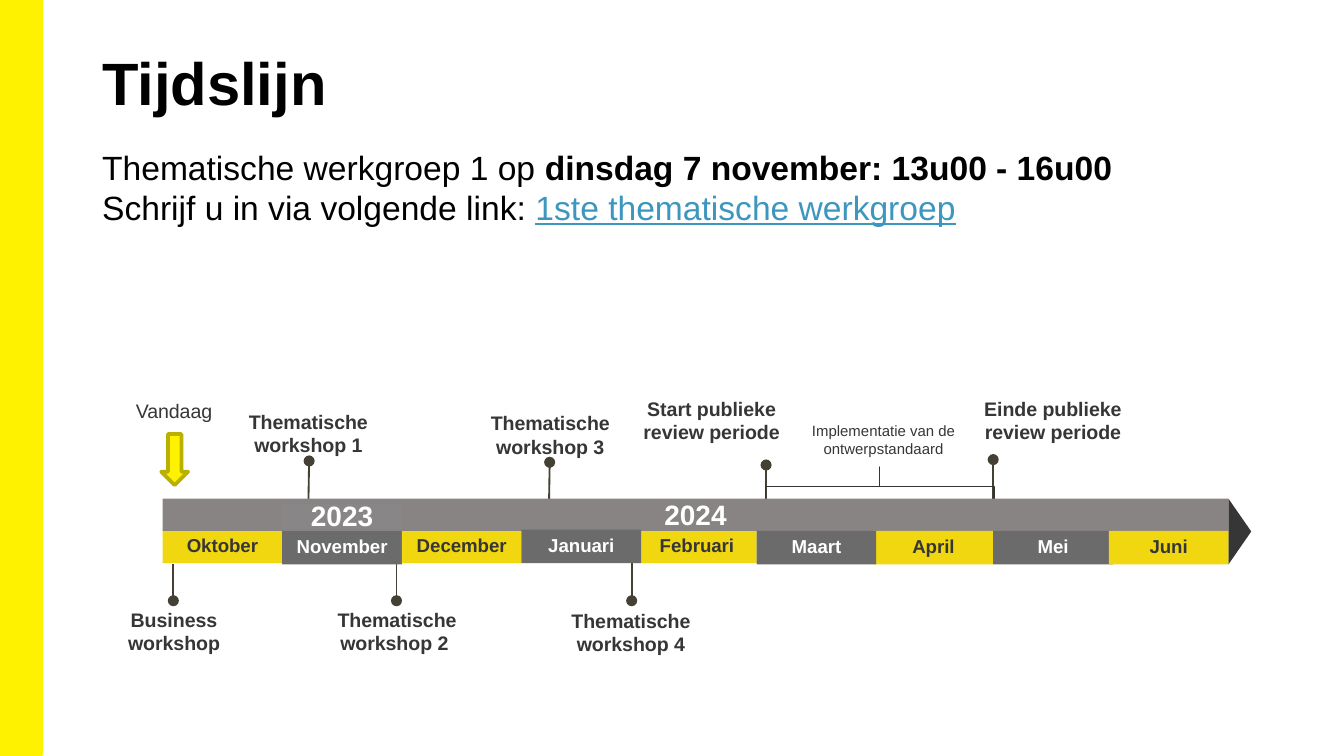
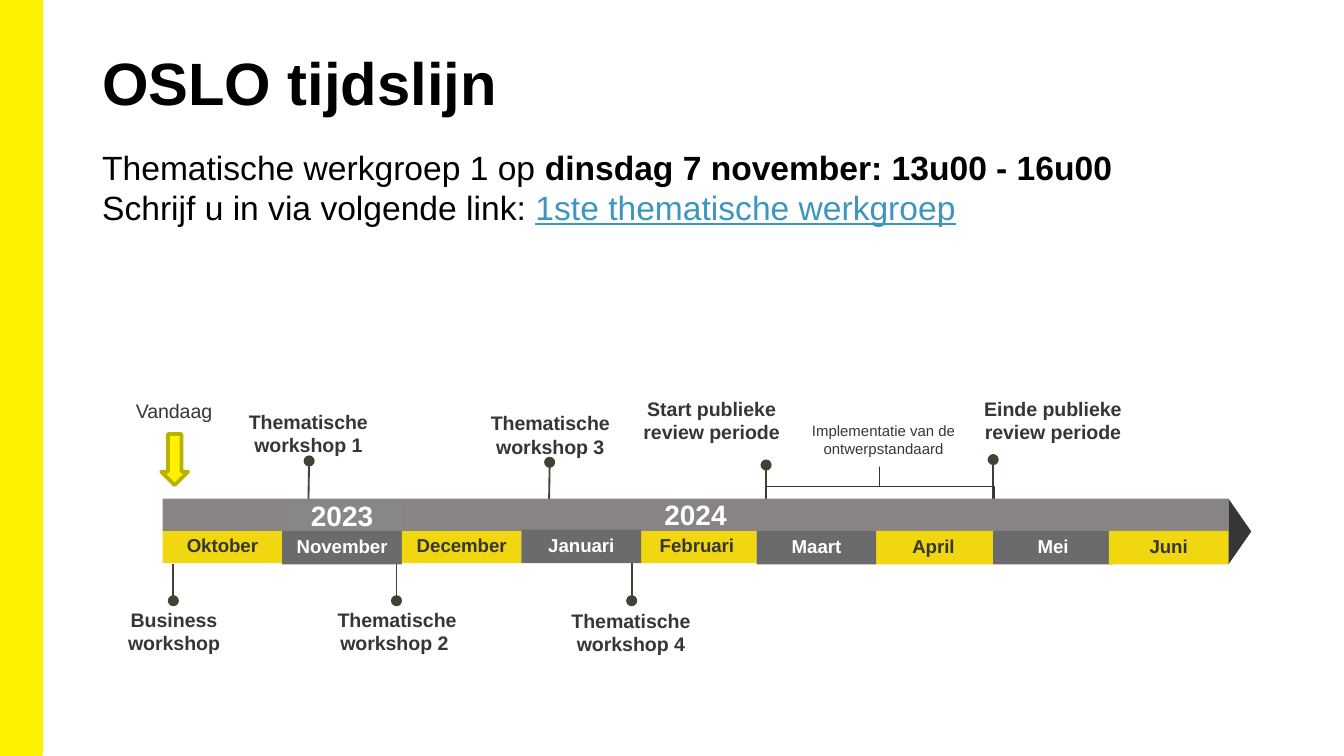
"""Build two slides that share one project timeline."""
from dataclasses import dataclass

from lxml import etree
from pptx import Presentation
from pptx.dml.color import RGBColor
from pptx.enum.shapes import MSO_CONNECTOR, MSO_SHAPE
from pptx.enum.text import MSO_ANCHOR, MSO_AUTO_SIZE, PP_ALIGN
from pptx.oxml.ns import qn
from pptx.shapes.autoshape import Shape
from pptx.slide import Slide
from pptx.text.text import TextFrame
from pptx.util import Emu, Pt

RECT, ARROW = MSO_SHAPE.RECTANGLE, MSO_SHAPE.DOWN_ARROW
POINT, BRACE = MSO_SHAPE.ISOSCELES_TRIANGLE, MSO_SHAPE.LEFT_BRACE
STRAIGHT = MSO_CONNECTOR.STRAIGHT
TOP, MIDDLE = MSO_ANCHOR.TOP, MSO_ANCHOR.MIDDLE
LEFT, CENTER = PP_ALIGN.LEFT, PP_ALIGN.CENTER
NO_FIT = MSO_AUTO_SIZE.NONE
SCALE = 9144
WIDTH, HEIGHT = 1000, 562


@dataclass(frozen=True)
class Theme:
    """Colours and type sizes of the deck."""
    font: str = "Arial"
    black: str = "000000"
    white: str = "FFFFFF"
    ink: str = "373636"
    band: str = "FFF200"
    edge: str = "BAB000"
    gold: str = "F0D70F"
    grey: str = "6B6B6B"
    bar: str = "888484"
    patch: str = "888686"
    stem: str = "454034"
    brace: str = "353333"
    link: str = "3C96BE"
    title: float = 32
    body: float = 18
    year: float = 15
    label: float = 10.5
    month: float = 10
    note: float = 8


@dataclass(frozen=True)
class Box:
    """A frame in px."""
    left: int
    top: int
    width: int
    height: int

    def emu(self) -> tuple[Emu, Emu, Emu, Emu]:
        """Return the frame in EMU."""
        return px(self.left), px(self.top), px(self.width), px(self.height)


@dataclass(frozen=True)
class Month:
    """A month cell on the axis."""
    name: str
    left: int
    top: int
    dark: bool = False


@dataclass(frozen=True)
class Pin:
    """A stem with a dot at its free end."""
    left: int
    dot: int
    foot: int
    lean: int = 0


@dataclass(frozen=True)
class Label:
    """A centred caption near the axis."""
    text: str
    box: Box
    size: float
    bold: bool = True


THEME = Theme()
TITLES = ("Tijdslijn", "OSLO tijdslijn")
CELL_W, CELL_H = 89, 25
CELL_PAD = (8, 8, 8, 10)
BAR_PAD = (10, 5, 10, 5)
TEXT_PAD = (7, 4, 7, 4)
NO_PAD = (0, 0, 0, 0)

UNDER = (
    Month("Oktober", 121, 394),
    Month("November", 210, 395, True),
    Month("December", 299, 394),
    Month("Februari", 474, 394),
)
OVER = (
    Month("April", 650, 395),
    Month("Mei", 739, 395, True),
    Month("Juni", 825, 395),
    Month("Januari", 388, 394, True),
    Month("Maart", 563, 395, True),
)
PINS = (
    Pin(230, 343, 404, -1),
    Pin(409, 344, 405, -1),
    Pin(570, 346, 407),
    Pin(739, 342, 411),
    Pin(129, 447, 420),
    Pin(295, 447, 405),
    Pin(470, 447, 405),
)
LABELS = (
    Label("Vandaag", Box(69, 297, 121, 26), THEME.label, False),
    Label("Thematische workshop 1", Box(169, 305, 121, 38), THEME.label),
    Label("Thematische workshop 3", Box(349, 306, 121, 38), THEME.label),
    Label("Start publieke review periode", Box(469, 295, 121, 38), THEME.label),
    Label("Einde publieke review periode", Box(723, 295, 121, 42), THEME.label),
    Label("Implementatie van de ontwerpstandaard", Box(591, 314, 133, 42), THEME.note, False),
    Label("Business workshop", Box(69, 452, 121, 42), THEME.label),
    Label("Thematische workshop 2 ", Box(235, 452, 121, 42), THEME.label),
    Label("Thematische workshop 4", Box(409, 453, 121, 42), THEME.label),
)


def px(size: int) -> Emu:
    """Turn px into EMU."""
    return Emu(size * SCALE)


def tint(code: str) -> RGBColor:
    """Turn a hex code into a colour."""
    return RGBColor.from_string(code)


def set_frame(frame: TextFrame, pad: tuple[int, int, int, int], anchor: MSO_ANCHOR) -> None:
    """Set wrap, insets and anchor of a text frame."""
    frame.word_wrap = True
    frame.auto_size = NO_FIT
    frame.vertical_anchor = anchor
    frame.margin_left, frame.margin_top, frame.margin_right, frame.margin_bottom = map(px, pad)


def style(item, size: float, hue: str, bold: bool, align: PP_ALIGN) -> None:
    """Format one paragraph."""
    item.alignment = align
    item.line_spacing = 1.0
    font = item.font
    font.name, font.size, font.bold = THEME.font, Pt(size), bold
    font.color.rgb = tint(hue)


def add_shape(slide: Slide, kind: MSO_SHAPE, box: Box, fill: str = "",
              line: str = "", weight: float = 1, turn: int = 0) -> Shape:
    """Draw a flat preset shape."""
    shape = slide.shapes.add_shape(kind, *box.emu())
    shape.shadow.inherit = False
    shape.rotation = turn
    if fill:
        shape.fill.solid()
        shape.fill.fore_color.rgb = tint(fill)
    else:
        shape.fill.background()
    if line:
        shape.line.color.rgb = tint(line)
        shape.line.width = Pt(weight)
    else:
        shape.line.fill.background()
    return shape


def add_cell(slide: Slide, box: Box, text: str, fill: str, hue: str,
             size: float, pad: tuple[int, int, int, int]) -> None:
    """Draw a filled cell with bold text."""
    frame = add_shape(slide, RECT, box, fill).text_frame
    set_frame(frame, pad, MIDDLE)
    frame.text = text
    style(frame.paragraphs[0], size, hue, True, CENTER)


def add_months(slide: Slide, months: tuple[Month, ...]) -> None:
    """Draw month cells."""
    for month in months:
        fill, hue = (THEME.grey, THEME.white) if month.dark else (THEME.gold, THEME.ink)
        add_cell(slide, Box(month.left, month.top, CELL_W, CELL_H), month.name,
                 fill, hue, THEME.month, CELL_PAD)


def add_pin(slide: Slide, pin: Pin) -> None:
    """Draw a stem that starts at its dot."""
    line = slide.shapes.add_connector(STRAIGHT, px(pin.left), px(pin.dot),
                                      px(pin.left + pin.lean), px(pin.foot))
    line.line.color.rgb = tint(THEME.stem)
    line.line.width = Pt(1)
    props = line.element.spPr
    etree.SubElement(props.find(qn("a:ln")), qn("a:headEnd"), type="oval")
    etree.SubElement(props, qn("a:effectLst"))


def add_label(slide: Slide, label: Label) -> None:
    """Write a caption."""
    frame = slide.shapes.add_textbox(*label.box.emu()).text_frame
    set_frame(frame, NO_PAD, TOP)
    frame.text = label.text
    style(frame.paragraphs[0], label.size, THEME.ink, label.bold, CENTER)


def add_title(slide: Slide, text: str) -> None:
    """Place and format the title."""
    title = slide.shapes.title
    title.left, title.top, title.width, title.height = Box(69, 30, 862, 81).emu()
    set_frame(title.text_frame, TEXT_PAD, TOP)
    title.text_frame.text = text
    style(title.text_frame.paragraphs[0], THEME.title, THEME.black, True, LEFT)


def add_intro(slide: Slide) -> None:
    """Write the call to join the workshop."""
    frame = slide.shapes.add_textbox(*Box(69, 105, 862, 107).emu()).text_frame
    set_frame(frame, TEXT_PAD, TOP)
    lines = (
        ("Thematische werkgroep 1 op ", "dinsdag 7 november: 13u00 - 16u00 "),
        ("Schrijf u in via volgende link: ", "1ste thematische werkgroep"),
    )
    first, second = frame.paragraphs[0], frame.add_paragraph()
    for item, parts in zip((first, second), lines):
        for part in parts:
            item.add_run().text = part
        style(item, THEME.body, THEME.black, False, LEFT)
    first.runs[1].font.bold = True
    link = second.runs[1].font
    link.underline = True
    link.color.rgb = tint(THEME.link)


def add_axis(slide: Slide) -> None:
    """Draw the year bar, its months and its marks."""
    for pin in PINS:
        add_pin(slide, pin)
    add_shape(slide, POINT, Box(898, 387, 49, 17), THEME.ink, turn=90)
    add_months(slide, UNDER)
    brace = add_shape(slide, BRACE, Box(640, 277, 29, 170), line=THEME.brace, weight=0.75, turn=90)
    brace.adjustments[0], brace.adjustments[1] = 0, 0.5
    add_cell(slide, Box(121, 371, 793, 24), "2024", THEME.bar, THEME.white, THEME.year, BAR_PAD)
    add_months(slide, OVER)
    add_cell(slide, Box(210, 375, CELL_W, 19), "2023", THEME.patch, THEME.white,
             THEME.year, CELL_PAD)
    add_shape(slide, ARROW, Box(120, 323, 20, 38), THEME.band, THEME.edge, 2)
    for label in LABELS:
        add_label(slide, label)


def main() -> None:
    """Build and save the deck."""
    deck = Presentation()
    deck.slide_width = px(WIDTH)
    deck.slide_height = Emu(deck.slide_width * 9 // 16)
    for title in TITLES:
        slide = deck.slides.add_slide(deck.slide_layouts[5])
        add_shape(slide, RECT, Box(0, 0, 31, HEIGHT), THEME.band, THEME.band)
        add_title(slide, title)
        add_intro(slide)
        add_axis(slide)
    deck.save("out.pptx")


if __name__ == "__main__":
    main()
